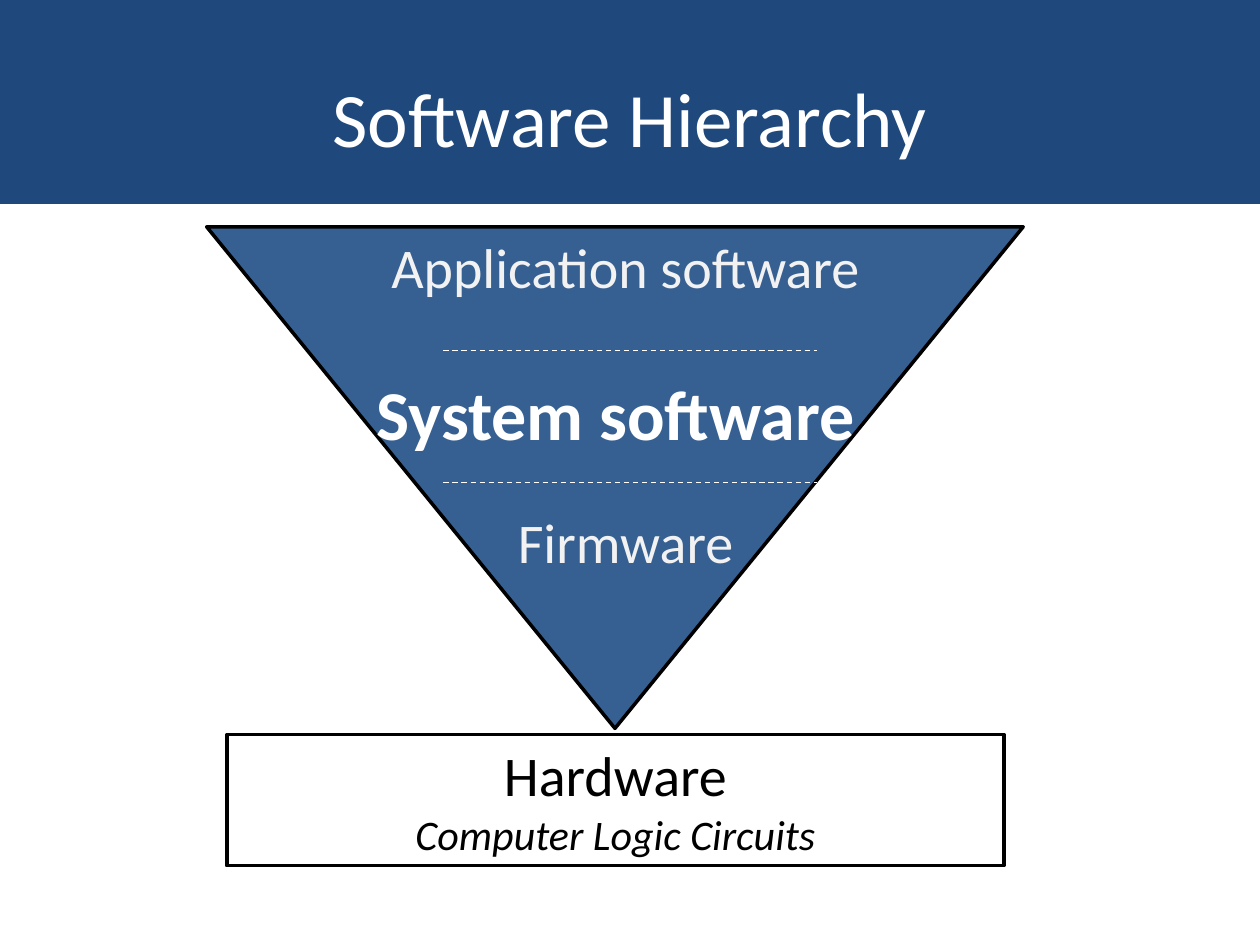
"""Build the Software Hierarchy slide."""
from dataclasses import dataclass

from lxml.etree import SubElement
from pptx import Presentation
from pptx.dml.color import RGBColor
from pptx.enum.dml import MSO_LINE
from pptx.enum.shapes import MSO_CONNECTOR, MSO_SHAPE
from pptx.enum.text import MSO_ANCHOR, MSO_AUTO_SIZE, PP_ALIGN
from pptx.oxml.ns import qn
from pptx.shapes.autoshape import Shape
from pptx.slide import Slide
from pptx.text.text import TextFrame
from pptx.util import Pt


@dataclass(frozen=True)
class Theme:
    font: str = "Calibri"
    band: str = "1F497D"
    funnel: str = "376092"
    white: str = "FFFFFF"
    pale: str = "F2F2F2"
    black: str = "000000"
    title_size: float = 44
    focus_size: float = 40
    level_size: float = 32
    note_size: float = 24
    outline: float = 2
    divider: float = 0.75


@dataclass(frozen=True)
class Area:
    left: float
    top: float
    width: float
    height: float

    def lengths(self) -> tuple[Pt, Pt, Pt, Pt]:
        return Pt(self.left), Pt(self.top), Pt(self.width), Pt(self.height)


@dataclass(frozen=True)
class Line:
    text: str
    size: float
    color: str
    bold: bool = False
    italic: bool = False


@dataclass(frozen=True)
class Level:
    area: Area
    line: Line


THEME = Theme()
SLIDE_WIDTH, SLIDE_HEIGHT = 720, 540
TITLE_AREA = Area(36, 21.6, 648, 90)
BAND_AREA = Area(0, 0, SLIDE_WIDTH, 116.6)
FUNNEL_AREA = Area(118.1, 129.6, 466.6, 286.6)
HARDWARE_AREA = Area(129.6, 419.8, 444.2, 74.9)
DIVIDER_LEFT, DIVIDER_RIGHT = 253.4, 466.6
DIVIDER_TOPS = (200.2, 275.8)

TITLE = Line("Software Hierarchy", THEME.title_size, THEME.white)
LEVELS = (
    Level(Area(135.4, 129.6, 444.2, 46.1),
          Line("Application software", THEME.level_size, THEME.pale)),
    Level(Area(129.6, 208.1, 444.2, 55.4),
          Line("System software", THEME.focus_size, THEME.white, bold=True)),
    Level(Area(135.4, 286.6, 444.2, 46.1),
          Line("Firmware", THEME.level_size, THEME.pale)),
)
HARDWARE = (
    Line("Hardware", THEME.level_size, THEME.black),
    Line("Computer Logic Circuits", THEME.note_size, THEME.black, italic=True),
)


def write_lines(frame: TextFrame, lines: tuple[Line, ...]) -> None:
    """Write one centred paragraph for each line."""
    frame.word_wrap = True
    for index, line in enumerate(lines):
        para = frame.add_paragraph() if index else frame.paragraphs[0]
        para.alignment = PP_ALIGN.CENTER
        span = para.add_run()
        span.text = line.text
        span.font.name = THEME.font
        span.font.size = Pt(line.size)
        span.font.bold = line.bold
        span.font.italic = line.italic
        span.font.color.rgb = RGBColor.from_string(line.color)


def add_block(page: Slide, kind: MSO_SHAPE, area: Area, fill: str,
              outlined: bool = True) -> Shape:
    """Add a flat filled shape, with a black outline if wanted."""
    block = page.shapes.add_shape(kind, *area.lengths())
    block.shadow.inherit = False
    block.fill.solid()
    block.fill.fore_color.rgb = RGBColor.from_string(fill)
    if outlined:
        block.line.color.rgb = RGBColor.from_string(THEME.black)
        block.line.width = Pt(THEME.outline)
    else:
        block.line.fill.background()
    return block


def add_title(page: Slide) -> None:
    """Place the title over a full-width band."""
    band = add_block(page, MSO_SHAPE.RECTANGLE, BAND_AREA, THEME.band, outlined=False)
    title = page.shapes.title
    title.left, title.top, title.width, title.height = TITLE_AREA.lengths()
    title.text_frame.vertical_anchor = MSO_ANCHOR.MIDDLE
    write_lines(title.text_frame, (TITLE,))
    title._element.addprevious(band._element)


def add_level(page: Slide, level: Level) -> None:
    """Add the label of one software level."""
    box = page.shapes.add_textbox(*level.area.lengths())
    write_lines(box.text_frame, (level.line,))
    box.text_frame.auto_size = MSO_AUTO_SIZE.SHAPE_TO_FIT_TEXT


def add_hardware(page: Slide) -> None:
    """Add the hardware base under the funnel."""
    box = add_block(page, MSO_SHAPE.RECTANGLE, HARDWARE_AREA, THEME.white)
    box.text_frame.vertical_anchor = MSO_ANCHOR.TOP
    write_lines(box.text_frame, HARDWARE)
    box.text_frame.auto_size = MSO_AUTO_SIZE.SHAPE_TO_FIT_TEXT


def add_divider(page: Slide, top: float) -> None:
    """Add a dashed line between two levels."""
    divider = page.shapes.add_connector(
        MSO_CONNECTOR.STRAIGHT, Pt(DIVIDER_LEFT), Pt(top), Pt(DIVIDER_RIGHT), Pt(top))
    divider.line.color.rgb = RGBColor.from_string(THEME.white)
    divider.line.width = Pt(THEME.divider)
    divider.line.dash_style = MSO_LINE.DASH
    SubElement(divider._element.spPr, qn("a:effectLst"))


def main() -> None:
    """Build and save the deck."""
    deck = Presentation()
    deck.slide_width, deck.slide_height = Pt(SLIDE_WIDTH), Pt(SLIDE_HEIGHT)
    page = deck.slides.add_slide(deck.slide_layouts.get_by_name("Title Only"))
    add_title(page)
    funnel = add_block(page, MSO_SHAPE.ISOSCELES_TRIANGLE, FUNNEL_AREA, THEME.funnel)
    funnel.rotation = 180
    for level in LEVELS:
        add_level(page, level)
    add_hardware(page)
    for top in DIVIDER_TOPS:
        add_divider(page, top)
    deck.save("out.pptx")


if __name__ == "__main__":
    main()
